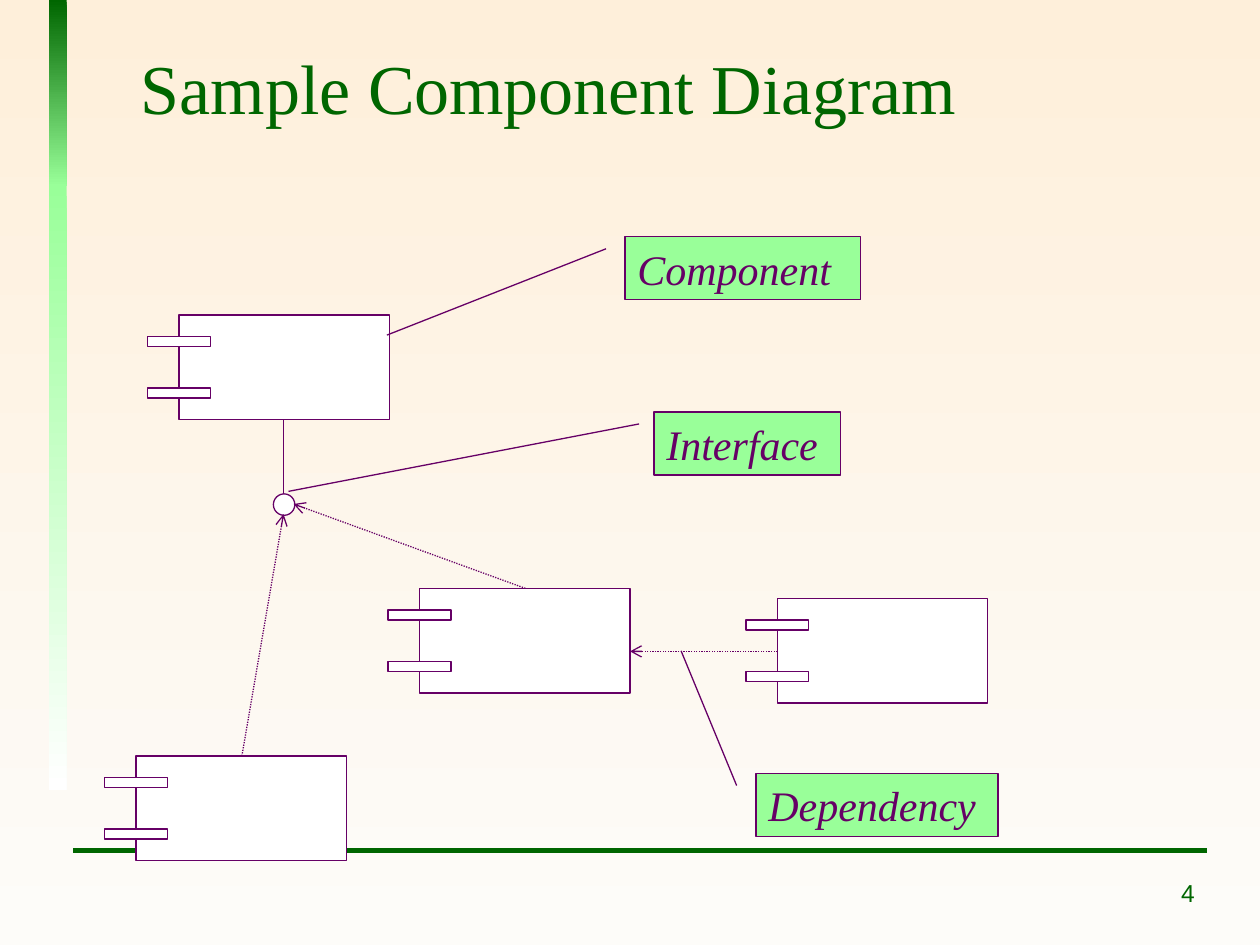
from dataclasses import dataclass

from lxml.etree import SubElement
from pptx import Presentation
from pptx.dml.color import RGBColor
from pptx.enum.dml import MSO_LINE
from pptx.enum.shapes import MSO_CONNECTOR, MSO_SHAPE
from pptx.enum.text import MSO_ANCHOR, MSO_AUTO_SIZE, PP_ALIGN
from pptx.oxml.ns import qn
from pptx.util import Inches, Pt

COLORS = {
    "sky": "FEEFDA",
    "ground": "FDFCF9",
    "green": "006600",
    "mint": "99FF99",
    "white": "FFFFFF",
    "purple": "660066",
}
SERIF = "Times New Roman"
TAB_SIZE = (0.5, 0.08)


@dataclass(frozen=True)
class Component:
    left: float
    top: float


@dataclass(frozen=True)
class Link:
    start: tuple[float, float]
    end: tuple[float, float]
    color: str = "purple"
    width: float = 0.75
    dependency: bool = False


@dataclass(frozen=True)
class Callout:
    text: str
    left: float
    top: float
    width: float
    pointer: tuple[float, float]


COMPONENTS = [
    Component(1.42, 2.5),
    Component(6.17, 4.75),
    Component(3.33, 4.67),
    Component(1.08, 6),
]
DEPENDENCIES = [
    Link((4.17, 4.67), (2.33, 4), dependency=True),
    Link((1.92, 6), (2.25, 4.08), dependency=True),
    Link((6.17, 5.17), (5, 5.17), dependency=True),
]
CALLOUTS = [
    Callout("Component", 4.96, 1.88, 1.87, (1.56, -1.01)),
    Callout("Interface", 5.19, 3.27, 1.48, (1.26, -1.96)),
    Callout("Dependency", 6, 6.14, 1.92, (-1.95, -0.31)),
]


def rgb(name: str) -> RGBColor:
    return RGBColor.from_string(COLORS[name])


def fill_gradient(fill, first: str, last: str) -> None:
    fill.gradient()
    fill.gradient_angle = 270
    for stop, name in zip(fill.gradient_stops, (first, last)):
        stop.color.rgb = rgb(name)


def add_box(slide, kind, left: float, top: float, width: float, height: float, fill: str = "white"):
    shape = slide.shapes.add_shape(kind, Inches(left), Inches(top), Inches(width), Inches(height))
    shape.shadow.inherit = False
    shape.fill.solid()
    shape.fill.fore_color.rgb = rgb(fill)
    shape.line.color.rgb = rgb("purple")
    shape.line.width = Pt(0.75)
    return shape


def add_bar(slide, top: float, height: float, first: str, last: str) -> None:
    shape = add_box(slide, MSO_SHAPE.RECTANGLE, 0.39, top, 0.14, height)
    shape.line.fill.background()
    fill_gradient(shape.fill, first, last)


def add_link(slide, link: Link) -> None:
    points = [Inches(value) for value in (*link.start, *link.end)]
    connector = slide.shapes.add_connector(MSO_CONNECTOR.STRAIGHT, *points)
    connector.line.color.rgb = rgb(link.color)
    connector.line.width = Pt(link.width)
    properties = connector._element.spPr
    if link.dependency:
        connector.line.dash_style = MSO_LINE.ROUND_DOT
        SubElement(properties.find(qn("a:ln")), qn("a:tailEnd"), type="arrow")
    SubElement(properties, qn("a:effectLst"))


def add_component(slide, component: Component) -> None:
    add_box(slide, MSO_SHAPE.RECTANGLE, component.left, component.top, 1.67, 0.83)
    for offset in (0.17, 0.58):
        add_box(slide, MSO_SHAPE.RECTANGLE, component.left - 0.25, component.top + offset, *TAB_SIZE)


def write_text(shape, text: str, *, size: float, color: str, font: str = SERIF,
               italic: bool = False, align=PP_ALIGN.LEFT, anchor=MSO_ANCHOR.TOP) -> None:
    frame = shape.text_frame
    frame.word_wrap = True
    frame.vertical_anchor = anchor
    paragraph = frame.paragraphs[0]
    paragraph.text = text
    paragraph.alignment = align
    paragraph.font.name = font
    paragraph.font.size = Pt(size)
    paragraph.font.italic = italic
    paragraph.font.color.rgb = rgb(color)


def add_text(slide, text: str, left: float, top: float, width: float, height: float, **text_format) -> None:
    shape = slide.shapes.add_textbox(Inches(left), Inches(top), Inches(width), Inches(height))
    write_text(shape, text, **text_format)


def add_callout(slide, callout: Callout) -> None:
    shape = add_box(slide, MSO_SHAPE.LINE_CALLOUT_1, callout.left, callout.top, callout.width, 0.5, "mint")
    for index, value in enumerate((0.19, -0.08, *callout.pointer)):
        shape.adjustments[index] = value
    write_text(shape, callout.text, size=24, color="purple", italic=True)
    shape.text_frame.auto_size = MSO_AUTO_SIZE.SHAPE_TO_FIT_TEXT


def main() -> None:
    presentation = Presentation()
    presentation.slide_width = Inches(10)
    presentation.slide_height = Inches(7.5)
    slide = presentation.slides.add_slide(presentation.slide_layouts[6])

    fill_gradient(slide.background.fill, "sky", "ground")
    add_bar(slide, 0, 1.48, "green", "mint")
    add_bar(slide, 1.46, 4.81, "mint", "white")
    add_link(slide, Link((0.58, 6.75), (9.58, 6.75), "green", 3))
    add_text(slide, "Sample Component Diagram", 1.02, 0.29, 8.5, 0.79,
             size=40, color="green", anchor=MSO_ANCHOR.MIDDLE)

    for component in COMPONENTS:
        add_component(slide, component)
    add_link(slide, Link((2.25, 3.33), (2.25, 4)))
    add_box(slide, MSO_SHAPE.OVAL, 2.17, 3.92, 0.17, 0.17)
    for dependency in DEPENDENCIES:
        add_link(slide, dependency)
    for callout in CALLOUTS:
        add_callout(slide, callout)

    add_text(slide, "4", 7.77, 6.92, 1.81, 0.5, size=14, color="green", font="Arial", align=PP_ALIGN.RIGHT)
    presentation.save("out.pptx")


if __name__ == "__main__":
    main()
